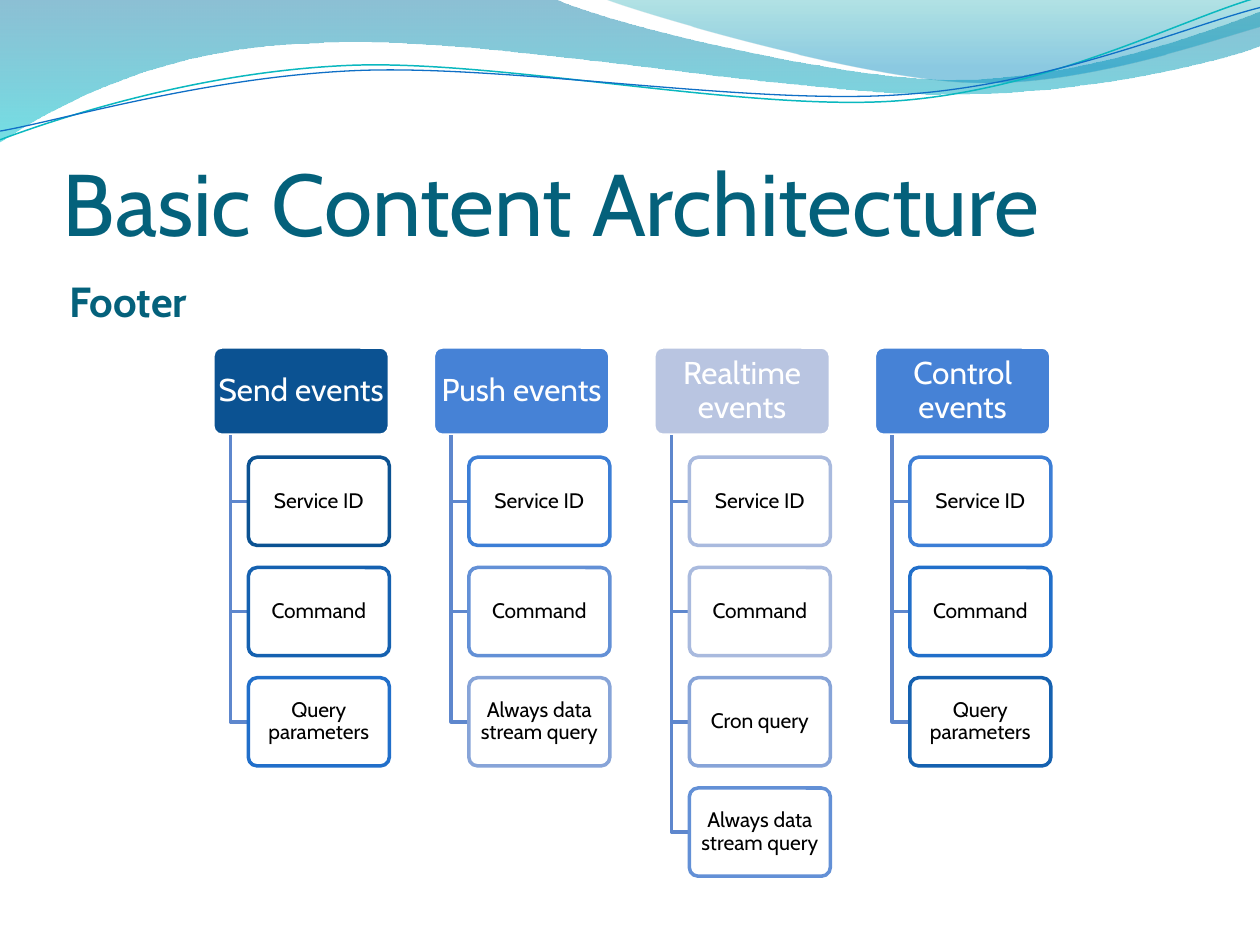
from lxml import etree
from pptx import Presentation
from pptx.dml.color import RGBColor
from pptx.enum import shapes, text
from pptx.oxml.ns import qn
from pptx.util import Pt

# Content: heading, fill, then (label, outline) for each card
TITLE = "Basic Content Architecture"
LABEL = "Footer"
COLS = [
    ("Send events", "0B5292",
     [("Service ID", "0B5292"), ("Command", "1561B0"),
      ("Query parameters", "216FCA")]),
    ("Push events", "4682D6",
     [("Service ID", "3C7ED6"), ("Command", "6390D6"),
      ("Always data stream query", "87A4D8")]),
    ("Realtime events", "B9C5E1",
     [("Service ID", "A9BADE"), ("Command", "A9BADE"),
      ("Cron query", "87A4D8"), ("Always data stream query", "6390D6")]),
    ("Control events", "4682D6",
     [("Service ID", "3C7ED6"), ("Command", "216FCA"),
      ("Query parameters", "1561B0")]),
]

# Waves: a 2-tuple is a straight step, a 6-tuple is a Bezier curve
BANDS = [
    ([(0, 0), (316.8, -0.7), (342.7, 12.2, 478.1, 45.4, 545.8, 45.4),
      (614.2, 45.4, 689.8, 18.7, 720, 6.5), (720.7, 25.9),
      (707.8, 31.7, 626.4, 54.7, 537.1, 54), (447.8, 54, 275, 20.2, 185, 24.5),
      (92.9, 25.9, 33.1, 59.8, -0.7, 81.4)],
     [(0, "0074A1", 45), (1, "00C6CF", 55)]),
    ([(344.9, -0.7), (366.5, 7.9, 491, 44.6, 553.7, 46.8),
      (616.3, 49.7, 691.9, 23, 720, 15.1), (720, 0)],
     [(0, "00A1A9", 30), (0.8, "008BBF", 45)]),
]
STRANDS = [
    ([(0, 79.9), (34.6, 67, 113.8, 41, 199.4, 37.4),
      (284.4, 33.8, 427, 64.1, 513.4, 57.6),
      (599.8, 51.1, 675.4, 10.8, 718.6, -1.4)], "0AB8BF", 0.85),
    ([(0, 74.9), (33.8, 69.1, 118.1, 43.9, 203.8, 40.3),
      (290.2, 36.7, 429.8, 60.5, 516.2, 54),
      (601.9, 48.2, 677.5, 15.1, 720, 4.3)], "0F6FC6", 0.75),
]

THEME = dict(font="Cabin", ink="04617B", white="FFFFFF", black="000000",
             branch="5E87CD", title=50, label=24, head=18, card=12)

# Grid of the chart
LEFT, TOP, STEP_X, STEP_Y = 121.7, 198.3, 126, 63
HEAD_W, CARD_W, BOX_H = 100.8, 80.6, 50.4
TRUNK, INDENT = 10.1, 20.2

deck = Presentation()
deck.slide_width, deck.slide_height = Pt(720), Pt(540)
slide = deck.slides.add_slide(deck.slide_layouts[6])


def rgb(code):
    return RGBColor.from_string(code)


def fade(shape, levels):
    """Give the fill colours of a shape their opacity in percent."""
    for node, level in zip(shape._element.spPr.iter(qn("a:srgbClr")), levels):
        etree.SubElement(node, qn("a:alpha")).set("val", str(level * 1000))


def write(shape, words, size, color, bold=False, align=text.PP_ALIGN.LEFT,
          anchor=text.MSO_ANCHOR.MIDDLE, pad=(0, 0, 0, 0), lead=None):
    frame = shape.text_frame
    frame.word_wrap = True
    frame.vertical_anchor = anchor
    (frame.margin_left, frame.margin_top,
     frame.margin_right, frame.margin_bottom) = map(Pt, pad)
    para = frame.paragraphs[0]
    para.alignment, para.line_spacing = align, lead
    run = para.add_run()
    run.text = words
    run.font.name, run.font.size = THEME["font"], Pt(size)
    run.font.bold, run.font.color.rgb = bold, rgb(color)


def bend(shape, steps):
    """Turn the straight steps of a freeform into Bezier curves."""
    lines = list(shape._element.spPr.iter(qn("a:lnTo")))
    for line, step in zip(lines, steps[1:]):
        if len(step) == 2:
            continue
        line.tag = qn("a:cubicBezTo")
        for i, (x, y) in enumerate((step[:2], step[2:4])):
            knot = etree.Element(qn("a:pt"))
            knot.set("x", str(Pt(x) - shape.left))
            knot.set("y", str(Pt(y) - shape.top))
            line.insert(i, knot)


def draw(steps, close=False, color=None, width=None):
    ends = [(Pt(s[-2]), Pt(s[-1])) for s in steps]
    pen = slide.shapes.build_freeform(*ends[0])
    pen.add_line_segments(ends[1:], close=close)
    shape = pen.convert_to_shape()
    bend(shape, steps)
    shape.shadow.inherit = False
    shape.fill.background()
    if color:
        shape.line.color.rgb, shape.line.width = rgb(color), Pt(width)
    else:
        shape.line.fill.background()
    return shape


def box(x, y, wide, words, size, ink, fill, edge, pad):
    shape = slide.shapes.add_shape(
        shapes.MSO_SHAPE.ROUNDED_RECTANGLE, Pt(x), Pt(y), Pt(wide), Pt(BOX_H))
    shape.adjustments[0] = 0.1
    shape.shadow.inherit = False
    shape.fill.solid()
    shape.fill.fore_color.rgb = rgb(fill)
    shape.line.color.rgb, shape.line.width = rgb(edge), Pt(2)
    write(shape, words, size, ink, align=text.PP_ALIGN.CENTER,
          pad=pad, lead=0.9)
    return shape


# Waves along the top
for steps, stops in BANDS:
    band = draw(steps, close=True)
    band.fill.gradient()
    band.fill.gradient_angle = 270
    for stop, (pos, color, _) in zip(band.fill.gradient_stops, stops):
        stop.position, stop.color.rgb = pos, rgb(color)
    fade(band, [level for _, _, level in stops])
for steps, color, width in STRANDS:
    draw(steps, color=color, width=width)

# Title and label
title = slide.shapes.add_textbox(Pt(36), Pt(55.4), Pt(648), Pt(90))
write(title, TITLE, THEME["title"], THEME["ink"],
      anchor=text.MSO_ANCHOR.BOTTOM, pad=(0, 3.6, 0, 0))
label = slide.shapes.add_textbox(Pt(36), Pt(145.8), Pt(577.4), Pt(51.8))
write(label, LABEL, THEME["label"], THEME["ink"], bold=True,
      pad=(3.6, 0, 3.6, 0))

# Columns of cards hanging from their headings
for col, (head, fill, cards) in enumerate(COLS):
    x = LEFT + col * STEP_X
    box(x, TOP, HEAD_W, head, THEME["head"], THEME["white"], fill,
        THEME["white"], (1, 1, 1, 1))
    for row, (words, edge) in enumerate(cards, 1):
        y = TOP + row * STEP_Y
        mid = y + BOX_H / 2
        draw([(x + TRUNK, TOP + BOX_H), (x + TRUNK, mid), (x + INDENT, mid)],
             color=THEME["branch"], width=2)
        card = box(x + INDENT, y, CARD_W, words, THEME["card"],
                   THEME["black"], THEME["white"], edge, (1, 1, 1, 1))
        fade(card, [90])

deck.save("out.pptx")
